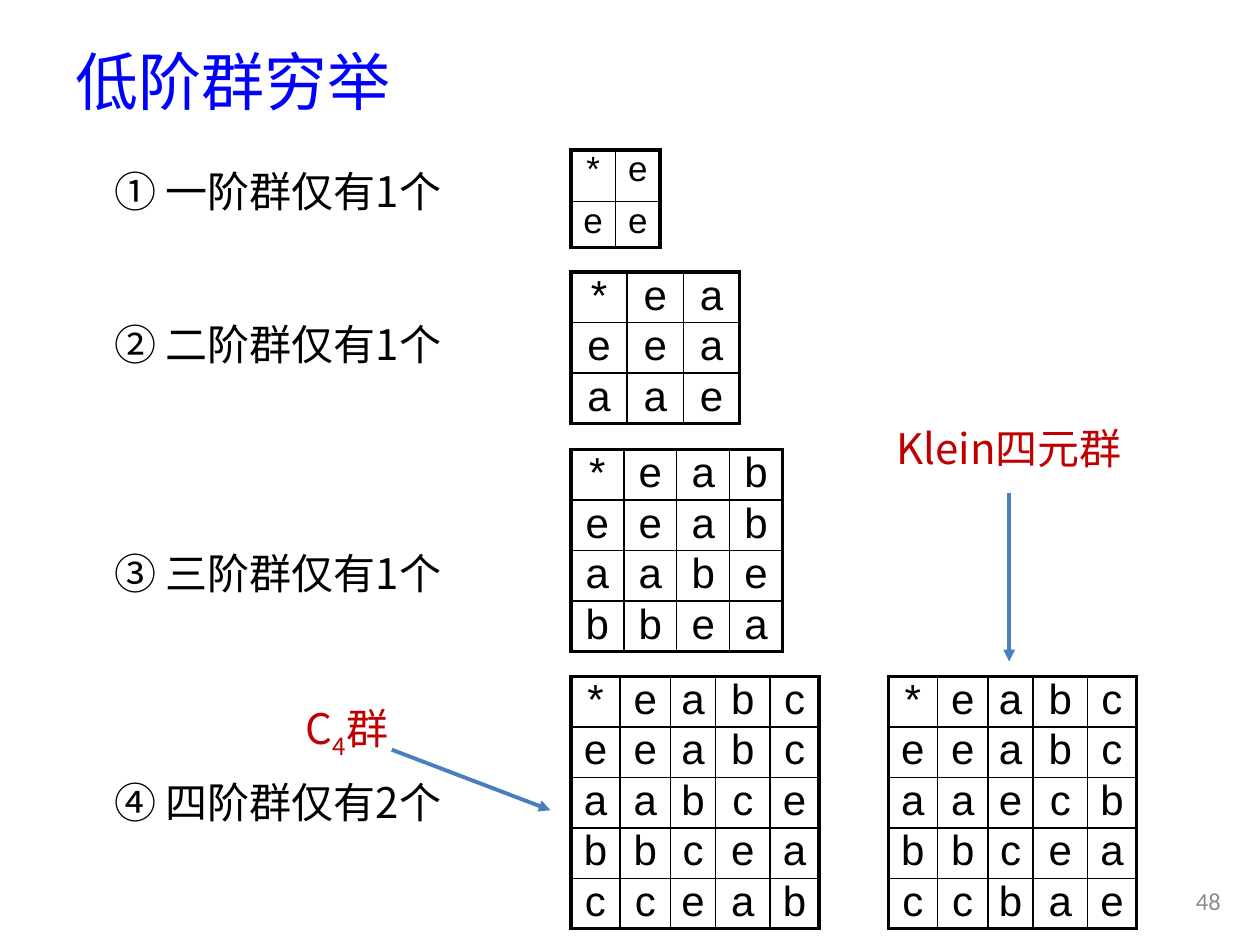
"""Build the slide that lists the groups of low order with their tables."""
from dataclasses import dataclass
from typing import Optional

from lxml.etree import SubElement
from pptx import Presentation
from pptx.dml.color import RGBColor as RGB
from pptx.enum.shapes import MSO_CONNECTOR as CONN
from pptx.enum.text import MSO_ANCHOR as ANCHOR, PP_ALIGN as ALIGN
from pptx.oxml.ns import qn
from pptx.util import Pt


@dataclass(frozen=True)
class Theme:
    cjk: str = "Noto Sans CJK SC"
    cell: str = "Arial"
    number: str = "Calibri"
    blue: str = "0000FF"
    black: str = "000000"
    red: str = "C00000"
    gray: str = "8C8C8C"
    arrow: str = "4B7EBC"
    title_size: float = 36
    body_size: float = 24
    small_cell_size: float = 20
    number_size: float = 14
    outer_line: float = 2.25
    inner_line: float = 1


T = Theme()


@dataclass(frozen=True)
class Style:
    size: float
    font: str
    color: str


@dataclass(frozen=True)
class Label:
    x: float
    y: float
    w: float
    h: float
    runs: tuple[tuple[str, int], ...]
    style: Style
    align: ALIGN = ALIGN.CENTER


@dataclass(frozen=True)
class Cayley:
    x: float
    y: float
    cols: tuple[float, ...]
    rows: tuple[float, ...]
    products: str
    size: float = T.body_size


@dataclass(frozen=True)
class Arrow:
    x1: float
    y1: float
    x2: float
    y2: float


@dataclass(frozen=True)
class Item:
    text: str
    space_before: Optional[float] = None


RED = Style(T.body_size, T.cjk, T.red)
BODY = Style(T.body_size, T.cjk, T.black)
TITLE = Label(36, 20.2, 272.9, 51.1, (("低阶群穷举", 0),),
              Style(T.title_size, T.cjk, T.blue), ALIGN.LEFT)
KLEIN = Label(497.5, 230.4, 158.4, 51.1, (("Klein四元群", 0),), RED)
NUMBER = Label(669.6, 500.4, 41.8, 28.8, (("48", 0),),
               Style(T.number_size, T.number, T.gray))
CYCLIC = Label(167, 392.4, 62.6, 51.1, (("C", 0), ("4", -25), ("群", 0)), RED)

ITEMS = (Item("① 一阶群仅有1个"), Item("② 二阶群仅有1个", 55.2),
         Item("③ 三阶群仅有1个", 98.8), Item("④ 四阶群仅有2个", 98.8))

LEFT = 326.2
FOUR_COLS = (28.1, 28.8, 25.9, 31, 28.1)
TABLES = (
    Cayley(LEFT, 85.7, (25.5,) * 2, (29.5, 26.3), "*e ee", T.small_cell_size),
    Cayley(LEFT, 155.5, (32.2,) * 3, (28.1,) * 3, "*ea eea aae"),
    Cayley(LEFT, 257, (30.25,) * 4, (26.8,) * 4, "*eab eeab aabe bbea"),
    Cayley(LEFT, 386.6, FOUR_COLS, (27.6,) * 5,
           "*eabc eeabc aabce bbcea cceab"),
    Cayley(507.6, 386.6, FOUR_COLS, (28,) * 5,
           "*eabc eeabc aaecb bbcea ccbae"),
)
KLEIN_ARROW = Arrow(576.7, 281.5, 576.7, 378)
CYCLIC_ARROW = Arrow(223.9, 428.4, 314.6, 463)


def add_run(p, text: str, style: Style, baseline: int = 0) -> None:
    r = p.add_run()
    r.text = text
    r.font.size = Pt(style.size)
    r.font.name = style.font
    r.font.color.rgb = RGB.from_string(style.color)
    rPr = r.font._element
    SubElement(rPr, qn("a:ea")).set("typeface", style.font)
    if baseline:
        rPr.set("baseline", str(baseline * 1000))


def add_label(slide, label: Label):
    sp = slide.shapes.add_textbox(Pt(label.x), Pt(label.y), Pt(label.w), Pt(label.h))
    tf = sp.text_frame
    tf.word_wrap = True
    tf.vertical_anchor = ANCHOR.MIDDLE
    p = tf.paragraphs[0]
    p.alignment = label.align
    for text, baseline in label.runs:
        add_run(p, text, label.style, baseline)
    return sp


def add_items(slide, items: tuple[Item, ...]) -> None:
    tf = slide.shapes.add_textbox(Pt(58.3), Pt(85.7), Pt(256.3), Pt(410.4)).text_frame
    tf.word_wrap = True
    tf.margin_top = Pt(5.8)
    for i, item in enumerate(items):
        p = tf.add_paragraph() if i else tf.paragraphs[0]
        p.alignment = ALIGN.JUSTIFY
        p.line_spacing = Pt(32)
        if item.space_before:
            p.space_before = Pt(item.space_before)
        pPr = p._p.get_or_add_pPr()
        pPr.set("marL", str(Pt(27)))
        pPr.set("indent", str(Pt(-27)))
        add_run(p, item.text, BODY)


def set_border(cell, side: str, width: float) -> None:
    ln = SubElement(cell._tc.get_or_add_tcPr(), qn(f"a:{side}"), w=str(Pt(width)))
    fill = SubElement(ln, qn("a:solidFill"))
    SubElement(fill, qn("a:srgbClr"), val=T.black)


def add_cayley(slide, spec: Cayley) -> None:
    n = len(spec.cols)
    table = slide.shapes.add_table(n, n, Pt(spec.x), Pt(spec.y), Pt(sum(spec.cols)),
                                   Pt(sum(spec.rows))).table
    table.first_row = table.horz_banding = False
    for column, width in zip(table.columns, spec.cols):
        column.width = Pt(width)
    for row, height in zip(table.rows, spec.rows):
        row.height = Pt(height)
    style = Style(spec.size, T.cell, T.black)
    for i, line in enumerate(spec.products.split()):
        for j, product in enumerate(line):
            cell = table.cell(i, j)
            cell.margin_left = cell.margin_right = Pt(0)
            cell.margin_top = cell.margin_bottom = Pt(0)
            p = cell.text_frame.paragraphs[0]
            p.alignment = ALIGN.CENTER
            add_run(p, product, style)
            edges = {"lnL": j == 0, "lnR": j == n - 1, "lnT": i == 0, "lnB": i == n - 1}
            for side, outer in edges.items():
                set_border(cell, side, T.outer_line if outer else T.inner_line)
            cell.fill.background()


def add_arrow(slide, arrow: Arrow, source=None) -> None:
    cxn = slide.shapes.add_connector(CONN.STRAIGHT, Pt(arrow.x1), Pt(arrow.y1),
                                     Pt(arrow.x2), Pt(arrow.y2))
    if source is not None:
        cxn.begin_connect(source, 2)
    cxn.line.color.rgb = RGB.from_string(T.arrow)
    cxn.line.width = Pt(2.25)
    SubElement(cxn.line._get_or_add_ln(), qn("a:tailEnd"), type="triangle")
    SubElement(cxn._element.spPr, qn("a:effectLst"))


def main() -> None:
    prs = Presentation()
    prs.slide_width, prs.slide_height = Pt(720), Pt(540)
    s = prs.slides.add_slide(prs.slide_layouts[6])
    add_label(s, TITLE)
    add_items(s, ITEMS)
    for spec in TABLES:
        add_cayley(s, spec)
    add_arrow(s, KLEIN_ARROW, add_label(s, KLEIN))
    add_label(s, NUMBER)
    add_label(s, CYCLIC)
    add_arrow(s, CYCLIC_ARROW)
    prs.save("out.pptx")


if __name__ == "__main__":
    main()
